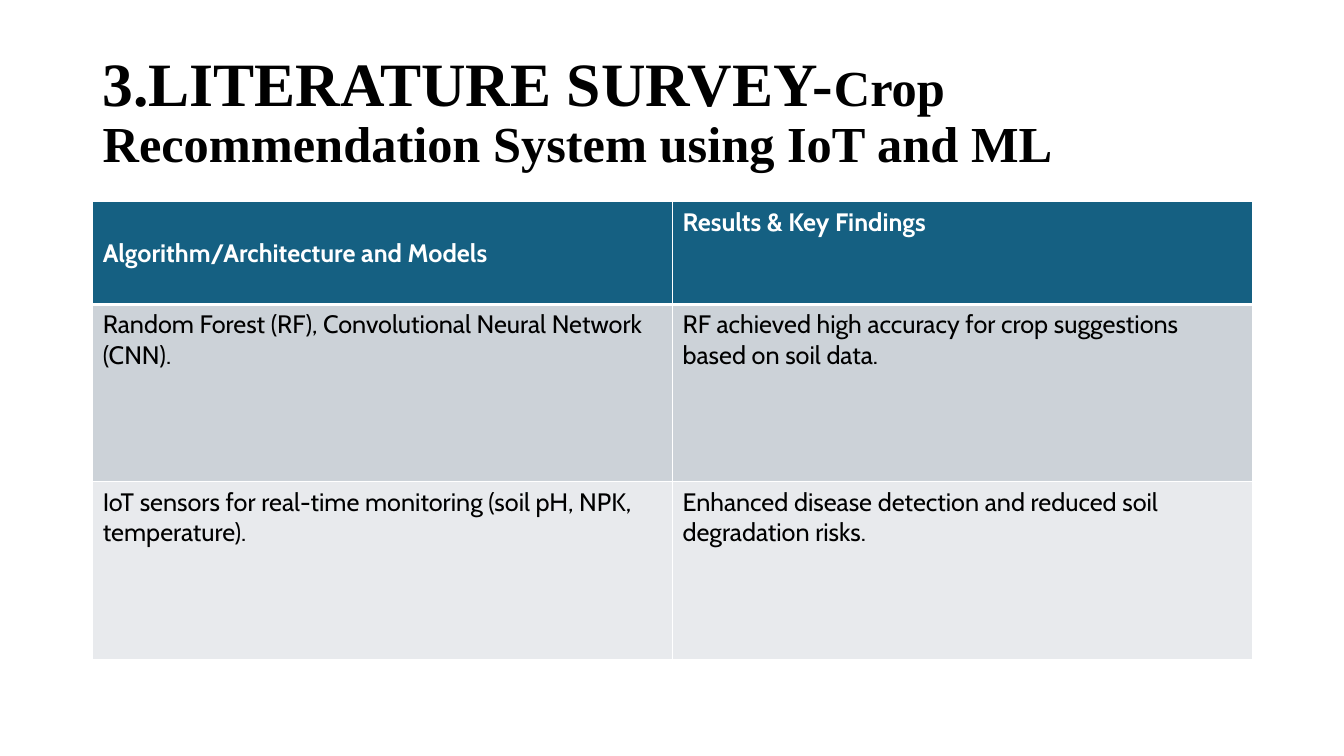
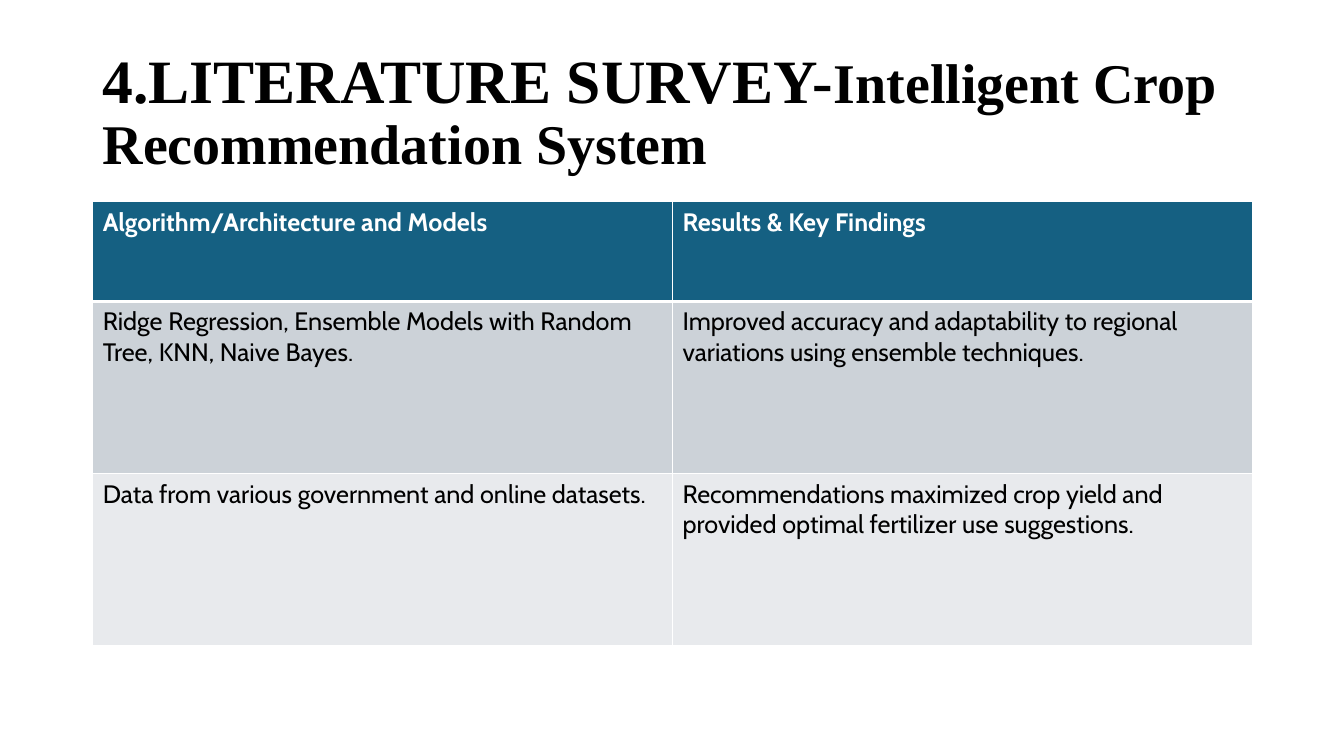
from dataclasses import dataclass

import pptx
import pptx.dml.color
import pptx.enum.text
import pptx.oxml
import pptx.oxml.ns
import pptx.util
from pptx.util import Inches

MIDDLE = pptx.enum.text.MSO_ANCHOR.MIDDLE
TOP = pptx.enum.text.MSO_ANCHOR.TOP


@dataclass(frozen=True)
class Theme:
    title_font: str = "Times New Roman"
    table_font: str = "Cabin"
    ink: str = "000000"
    paper: str = "FFFFFF"
    header_fill: str = "156082"
    row_fills: tuple = ("CCD2D8", "E8EAED")
    heading_size: int = 44
    table_size: int = 18
    thin_line: int = 1
    thick_line: int = 3


THEME = Theme()
LEFT, WIDTH = Inches(0.92), Inches(11.5)
TITLE_TOP, TITLE_HEIGHT = Inches(0.4), Inches(1.45)
TABLE_TOP = Inches(2)
HEADERS = ("Algorithm/Architecture and Models", "Results & Key Findings")

SURVEYS = [
    {
        "heading": "3.LITERATURE SURVEY-",
        "topic": "Crop Recommendation System using IoT and ML",
        "topic_size": 36,
        "header_anchors": (MIDDLE, TOP),
        "row_heights": (1.02, 1.76, 1.76),
        "findings": [
            ("Random Forest (RF), Convolutional Neural Network (CNN).",
             "RF achieved high accuracy for crop suggestions based on soil data."),
            ("IoT sensors for real-time monitoring (soil pH, NPK, temperature).",
             "Enhanced disease detection and reduced soil degradation risks."),
        ],
    },
    {
        "heading": "4.LITERATURE SURVEY-",
        "topic": "Intelligent Crop Recommendation System",
        "topic_size": 40,
        "header_anchors": (TOP, TOP),
        "row_heights": (0.99, 1.71, 1.71),
        "findings": [
            ("Ridge Regression, Ensemble Models with Random Tree, KNN, Naive Bayes.",
             "Improved accuracy and adaptability to regional variations using ensemble techniques."),
            ("Data from various government and online datasets.",
             "Recommendations maximized crop yield and provided optimal fertilizer use suggestions."),
        ],
    },
]


def rgb(color):
    return pptx.dml.color.RGBColor.from_string(color)


def add_span(para, text, font, size, color, bold):
    span = para.add_run()
    span.text = text
    span.font.name = font
    span.font.size = pptx.util.Pt(size)
    span.font.color.rgb = rgb(color)
    span.font.bold = bold


def add_title(page, survey):
    box = page.shapes.add_textbox(LEFT, TITLE_TOP, WIDTH, TITLE_HEIGHT)
    frame = box.text_frame
    frame.word_wrap = True
    frame.vertical_anchor = MIDDLE
    para = frame.paragraphs[0]
    para.line_spacing = 0.9
    for text, size in ((survey["heading"], THEME.heading_size),
                       (survey["topic"], survey["topic_size"])):
        add_span(para, text, THEME.title_font, size, THEME.ink, True)


def set_borders(cell, row):
    """Draw thin lines all round, with a thick one below the header row."""
    thick_side = {0: "B", 1: "T"}.get(row)
    properties = cell._tc.get_or_add_tcPr()
    for side in "LRTB":
        points = THEME.thick_line if side == thick_side else THEME.thin_line
        properties.append(pptx.oxml.parse_xml(
            f'<a:ln{side} {pptx.oxml.ns.nsdecls("a")} w="{pptx.util.Pt(points)}">'
            f'<a:solidFill><a:srgbClr val="{THEME.paper}"/></a:solidFill></a:ln{side}>'))


def add_survey_table(page, survey):
    rows = [HEADERS, *survey["findings"]]
    heights = [Inches(height) for height in survey["row_heights"]]
    table = page.shapes.add_table(
        len(rows), len(HEADERS), LEFT, TABLE_TOP, WIDTH, sum(heights)).table
    fills = (THEME.header_fill, *THEME.row_fills)
    for row, (texts, height, fill) in enumerate(zip(rows, heights, fills)):
        table.rows[row].height = height
        is_header = row == 0
        for column, text in enumerate(texts):
            cell = table.cell(row, column)
            set_borders(cell, row)
            cell.fill.solid()
            cell.fill.fore_color.rgb = rgb(fill)
            cell.vertical_anchor = survey["header_anchors"][column] if is_header else TOP
            add_span(cell.text_frame.paragraphs[0], text, THEME.table_font,
                     THEME.table_size, THEME.paper if is_header else THEME.ink, is_header)


def main():
    deck = pptx.Presentation()
    deck.slide_width, deck.slide_height = Inches(13.33), Inches(7.5)
    for survey in SURVEYS:
        page = deck.slides.add_slide(deck.slide_layouts[6])
        add_title(page, survey)
        add_survey_table(page, survey)
    deck.save("out.pptx")


if __name__ == "__main__":
    main()
